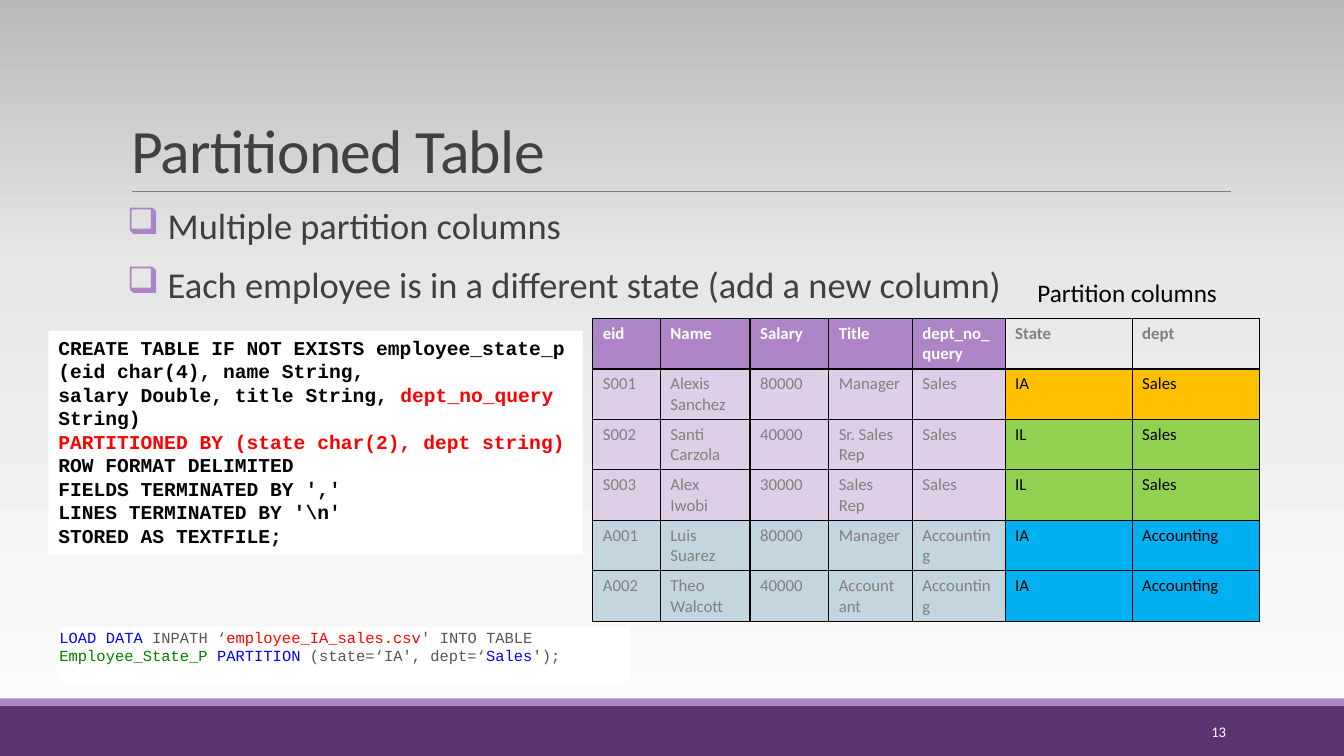
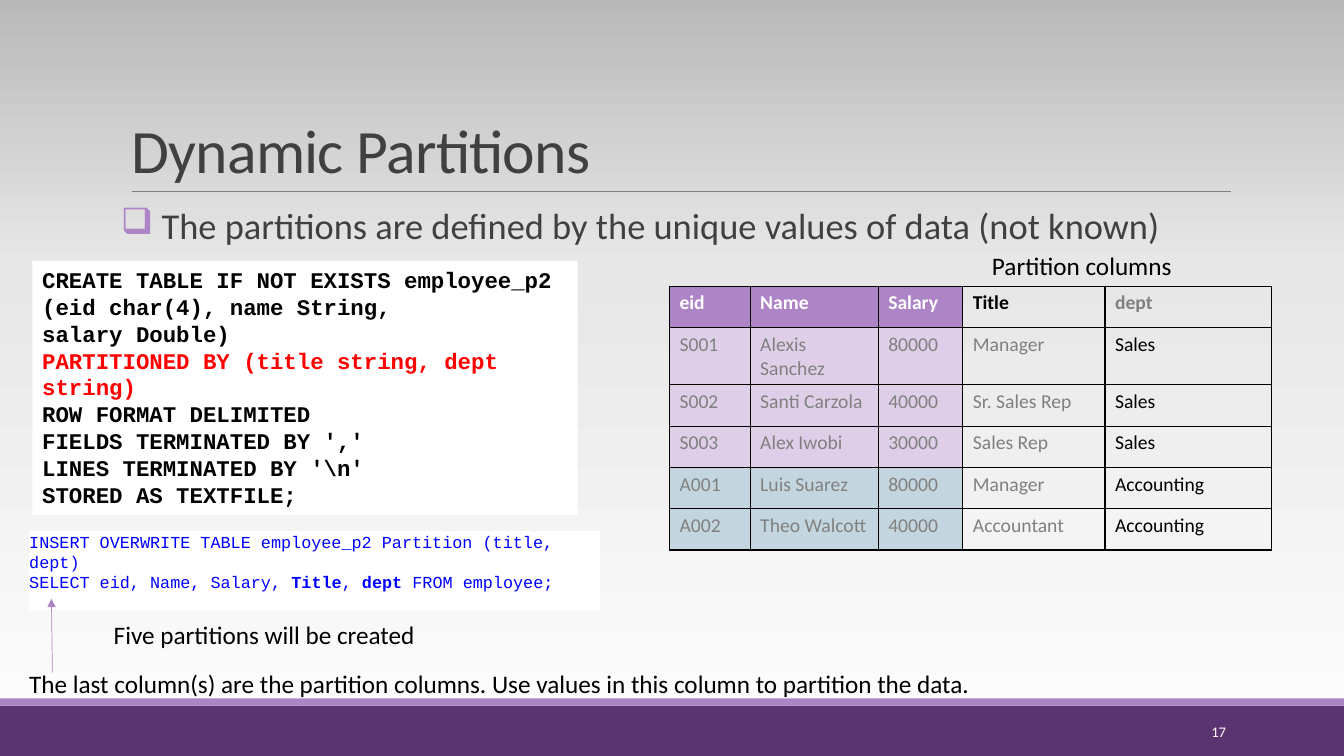
from copy import deepcopy

from lxml import etree
from pptx import Presentation
from pptx.dml.color import RGBColor
from pptx.enum.shapes import MSO_CONNECTOR, MSO_SHAPE
from pptx.enum.text import MSO_ANCHOR, MSO_AUTO_SIZE, PP_ALIGN
from pptx.oxml.ns import qn
from pptx.util import Inches, Pt

STRAIGHT = MSO_CONNECTOR.STRAIGHT
RECTANGLE = MSO_SHAPE.RECTANGLE
TOP, MIDDLE, BOTTOM = MSO_ANCHOR.TOP, MSO_ANCHOR.MIDDLE, MSO_ANCHOR.BOTTOM
NO_FIT, GROW = MSO_AUTO_SIZE.NONE, MSO_AUTO_SIZE.SHAPE_TO_FIT_TEXT
LEFT, RIGHT = PP_ALIGN.LEFT, PP_ALIGN.RIGHT

SANS, MONO = "Calibri", "Courier New"
COLORS = {
    "black": "000000", "white": "FFFFFF", "text": "404040", "gray": "808080",
    "code": "555555", "red": "FF0000", "blue": "0000FF", "green": "008000",
    "purple": "5A3471", "lilac": "AD84C6", "pale lilac": "DECEE8",
    "pale blue": "C3D5DF", "amber": "FFC000", "lime": "92D050", "sky": "00B0F0",
}
BACKDROP = [(0, "FEFEFE"), (0.65, "E7E7E7"), (1, "B9B9B9")]
BANDS = [((0, 7, 13.33, 0.5), "purple"), ((0, 6.93, 13.33, 0.07), "lilac")]
CELL_EDGES = ("a:lnL", "a:lnR", "a:lnT", "a:lnB")
ROW_HEIGHT = 0.41

EMPLOYEES = [
    ("S001", "Alexis Sanchez", "80000", "Manager", "Sales", "IA"),
    ("S002", "Santi Carzola", "40000", "Sr. Sales Rep", "Sales", "IL"),
    ("S003", "Alex Iwobi", "30000", "Sales Rep", "Sales", "IL"),
    ("A001", "Luis Suarez", "80000", "Manager", "Accounting", "IA"),
    ("A002", "Theo Walcott", "40000", "Accountant", "Accounting", "IA"),
]
DEPT_FILLS = {"Sales": "pale lilac", "Accounting": "pale blue"}
PARTITION_FILLS = {("IA", "Sales"): "amber", ("IL", "Sales"): "lime",
                   ("IA", "Accounting"): "sky"}
STORAGE = [[(line, "black")] for line in (
    "ROW FORMAT DELIMITED", "FIELDS TERMINATED BY ','",
    "LINES TERMINATED BY '\\n'", "STORED AS TEXTFILE;")]

SLIDES = [
    {
        "title": "Partitioned Table",
        "number": "13",
        "bullets_left": 1.26,
        "bullets": [" Multiple partition columns",
                    " Each employee is in a different state (add a new column)"],
        "create": ((0.48, 3.28, 5.3, 2.22), 14, [
            [("CREATE TABLE IF NOT EXISTS employee_state_p "
              "(eid char(4), name String,", "black")],
            [("salary Double, title String, ", "black"),
             ("dept_no_query ", "red"), ("String)", "black")],
            [("PARTITIONED BY (state char(2), dept string)", "red")],
        ] + STORAGE),
        "load": ((0.59, 6.22, 5.66, 0.55), 11, [[
            ("LOAD DATA", "blue"), (" INPATH ‘", "code"),
            ("employee_IA_sales.csv", "red"), ("' INTO TABLE ", "code"),
            ("Employee_State_P ", "green"), ("PARTITION", "blue"),
            (" (state=‘IA', dept=‘", "code"), ("Sales", "blue"),
            ("'); ", "code")]]),
        "table": {
            "at": (5.88, 3.16), "size": 12,
            "columns": [0.67, 0.89, 0.78, 0.83, 0.92, 1.26, 1.26],
            "header": ["eid", "Name", "Salary", "Title", "dept_no_query",
                       "State", "dept"],
            "header_colors": ["white"] * 5 + ["gray"] * 2,
            "rows": [person[:5] + (person[5], person[4]) for person in EMPLOYEES],
            "data_columns": 5, "black_from": 5, "partition_fills": PARTITION_FILLS,
        },
        "labels": [((10.19, 2.7, 2.01, 0.4), "Partition columns")],
        "arrows": [],
    },
    {
        "title": "Dynamic Partitions",
        "number": "17",
        "bullets_left": 1.2,
        "bullets": [" The partitions are defined by the unique values of data "
                    "(not known)"],
        "create": ((0.32, 2.59, 5.41, 2.52), 16, [
            [("CREATE TABLE IF NOT EXISTS employee_p2 ", "black")],
            [("(eid char(4), name String,", "black")],
            [("salary Double)", "black")],
            [("PARTITIONED BY (title string, dept string)", "red")],
        ] + STORAGE),
        "load": ((0.29, 5.27, 5.66, 0.78), 12, [
            [("INSERT OVERWRITE TABLE employee_p2 Partition (title, dept)", "blue")],
            [("SELECT eid, Name, Salary, ", "blue"), ("Title", "blue", True),
             (", ", "blue"), ("dept", "blue", True), (" FROM employee;", "blue")],
        ]),
        "table": {
            "at": (6.64, 2.84), "size": 14,
            "columns": [0.8, 1.27, 0.84, 1.41, 1.65],
            "header": ["eid", "Name", "Salary", "Title", "dept"],
            "header_colors": ["white"] * 3 + ["black", "gray"],
            "rows": [person[:5] for person in EMPLOYEES],
            "data_columns": 3, "black_from": 4, "partition_fills": {},
        },
        "labels": [
            ((9.74, 2.43, 2.01, 0.4), "Partition columns"),
            ((0.19, 6.58, 9.67, 0.4),
             "The last column(s) are the partition columns. "
             "Use values in this column to partition the data. "),
            ((1.03, 6.09, 3.23, 0.4), "Five partitions will be created"),
        ],
        "arrows": [(0.52, 6.67, 0.51, 5.94)],
    },
]


def rgb(name):
    return RGBColor.from_string(COLORS[name])


def inches(values):
    return [Inches(value) for value in values]


def style(span, size, color, font=SANS, bold=False):
    span.font.size, span.font.name, span.font.bold = Pt(size), font, bold
    span.font.color.rgb = rgb(color)


def write(frame, lines, size, font=SANS, bold=False):
    for index, line in enumerate(lines):
        para = frame.add_paragraph() if index else frame.paragraphs[0]
        for text, color, *strong in line:
            span = para.add_run()
            span.text = text
            style(span, size, color, font, bold or bool(strong))


def add_text(page, at, lines, size, font=SANS, bold=False, fill=None,
             anchor=TOP, insets=(0.1, 0.05, 0.1, 0.05), wrap=True, fit=GROW):
    box = page.shapes.add_textbox(*inches(at))
    if fill:
        box.fill.solid()
        box.fill.fore_color.rgb = rgb(fill)
    frame = box.text_frame
    frame.word_wrap, frame.auto_size, frame.vertical_anchor = wrap, fit, anchor
    (frame.margin_left, frame.margin_top,
     frame.margin_right, frame.margin_bottom) = inches(insets)
    write(frame, lines, size, font, bold)
    return frame


def add_line(page, ends, color, arrow=False):
    line = page.shapes.add_connector(STRAIGHT, *inches(ends))
    line.line.color.rgb = rgb(color)
    line.line.width = Pt(0.5)
    properties = line._element.spPr
    if arrow:
        etree.SubElement(properties.find(qn("a:ln")), qn("a:tailEnd"), type="triangle")
    etree.SubElement(properties, qn("a:effectLst"))


def set_backdrop(master):
    fill = master.background.fill
    fill.gradient()
    fill.gradient_angle = 90
    stops = master.element.find(".//" + qn("a:gsLst"))
    stops.append(deepcopy(stops[-1]))
    for stop, (position, color) in zip(fill.gradient_stops, BACKDROP):
        stop.position = position
        stop.color.rgb = RGBColor.from_string(color)


def add_frame(page, title, number):
    for at, color in BANDS:
        band = page.shapes.add_shape(RECTANGLE, *inches(at))
        band.shadow.inherit = False
        band.fill.solid()
        band.fill.fore_color.rgb = rgb(color)
        band.line.fill.background()
    add_line(page, (1.31, 1.9, 12.21, 1.9), "gray")
    box = page.shapes.title
    box.left, box.top, box.width, box.height = inches((1.2, 0.31, 11, 1.59))
    frame = box.text_frame
    frame.text = title
    frame.auto_size, frame.vertical_anchor = NO_FIT, BOTTOM
    para = frame.paragraphs[0]
    para.alignment, para.line_spacing = LEFT, 0.85
    style(para.runs[0], 44, "text")
    para.runs[0]._r.get_or_add_rPr().set("spc", "-50")
    footer = add_text(page, (10.83, 7.06, 1.43, 0.4), [[(number, "white")]], 10.5,
                      anchor=MIDDLE, fit=NO_FIT)
    footer.paragraphs[0].alignment = RIGHT


def add_bullets(page, left, bullets):
    frame = add_text(page, (left, 2.02, 11, 4.4),
                     [[(text, "text")] for text in bullets], 26,
                     insets=(0, 0.05, 0, 0.05), fit=NO_FIT)
    for para in frame.paragraphs:
        para.line_spacing, para.space_before, para.space_after = 0.9, Pt(12), Pt(2)
        properties = para._p.get_or_add_pPr()
        properties.set("marL", str(Inches(0.1)))
        properties.set("indent", str(-Inches(0.1)))
        tint = etree.SubElement(properties, qn("a:buClr"))
        etree.SubElement(tint, qn("a:srgbClr"), val=COLORS["lilac"])
        etree.SubElement(properties, qn("a:buChar"), char="❑")


def format_cell(cell, text, size, color, fill, bold):
    properties = cell._tc.get_or_add_tcPr()
    for edge in CELL_EDGES:
        border = etree.SubElement(properties, qn(edge), w=str(Pt(1)))
        solid = etree.SubElement(border, qn("a:solidFill"))
        etree.SubElement(solid, qn("a:srgbClr"), val=COLORS["black"])
    if fill:
        cell.fill.solid()
        cell.fill.fore_color.rgb = rgb(fill)
    else:
        cell.fill.background()
    cell.text = text
    style(cell.text_frame.paragraphs[0].runs[0], size, color, bold=bold)


def add_employees(page, content):
    widths, rows = content["columns"], content["rows"]
    height = ROW_HEIGHT * (len(rows) + 1)
    table = page.shapes.add_table(
        len(rows) + 1, len(widths),
        *inches((*content["at"], sum(widths), height))).table
    table.horz_banding = False
    for column, width in zip(table.columns, widths):
        column.width = Inches(width)
    for row in table.rows:
        row.height = Inches(ROW_HEIGHT)
    data_columns, size = content["data_columns"], content["size"]
    for index, text in enumerate(content["header"]):
        fill = "lilac" if index < data_columns else None
        format_cell(table.cell(0, index), text, size,
                    content["header_colors"][index], fill, True)
    for number, values in enumerate(rows, 1):
        partition_fill = content["partition_fills"].get(values[-2:])
        for index, text in enumerate(values):
            fill = DEPT_FILLS[values[4]] if index < data_columns else partition_fill
            color = "black" if index >= content["black_from"] else "gray"
            format_cell(table.cell(number, index), text, size, color, fill, False)


deck = Presentation()
deck.slide_width, deck.slide_height = Inches(13.33), Inches(7.5)
set_backdrop(deck.slide_master)
for content in SLIDES:
    page = deck.slides.add_slide(deck.slide_layouts[5])
    add_frame(page, content["title"], content["number"])
    add_bullets(page, content["bullets_left"], content["bullets"])
    at, size, lines = content["create"]
    add_text(page, at, lines, size, MONO, bold=True, fill="white")
    add_employees(page, content["table"])
    at, size, lines = content["load"]
    add_text(page, at, lines, size, MONO, fill="white", anchor=MIDDLE,
             insets=(0, 0, 0, 0.17))
    for ends in content["arrows"]:
        add_line(page, ends, "lilac", arrow=True)
    for at, text in content["labels"]:
        add_text(page, at, [[(text, "black")]], 18, wrap=False)
deck.save("out.pptx")
